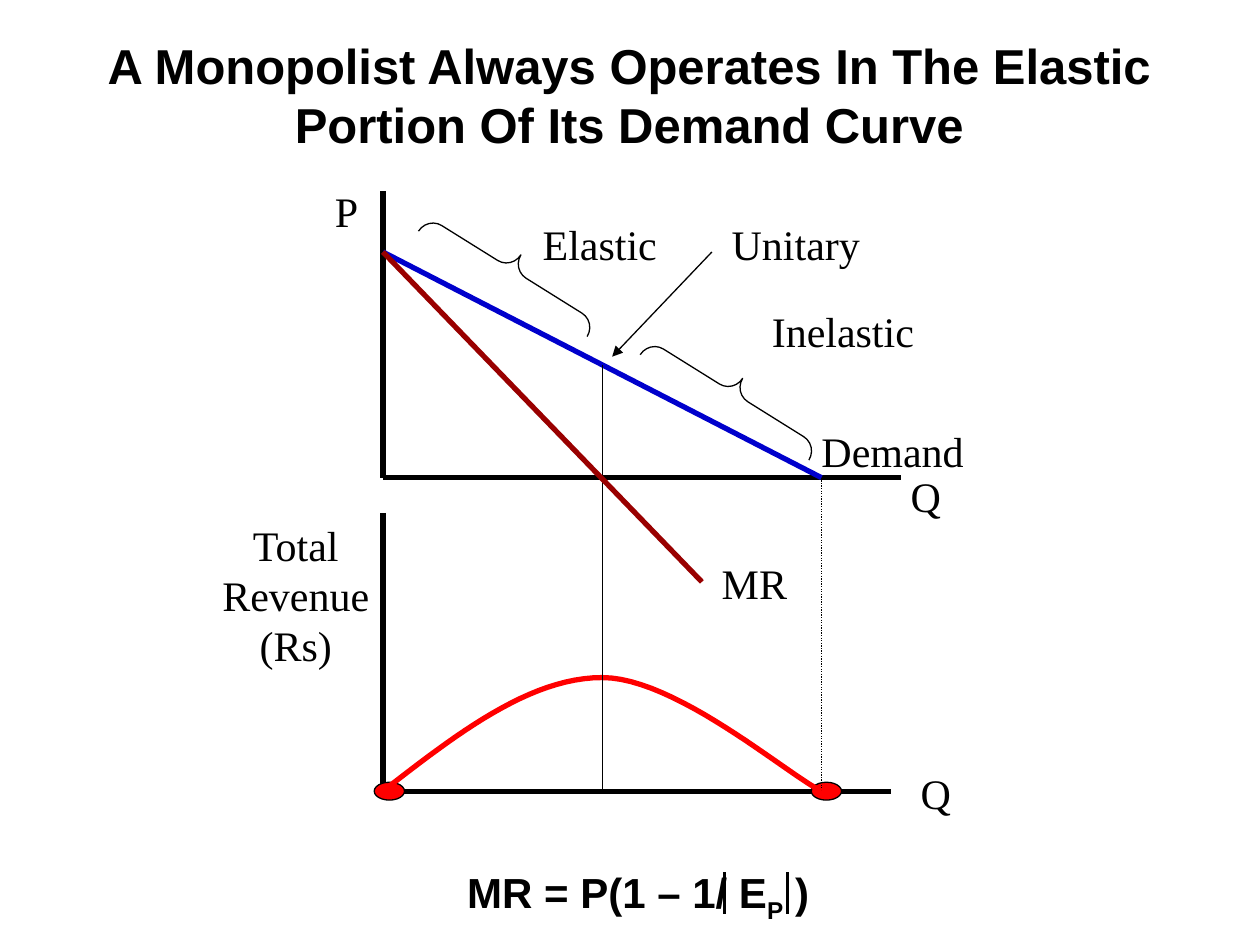
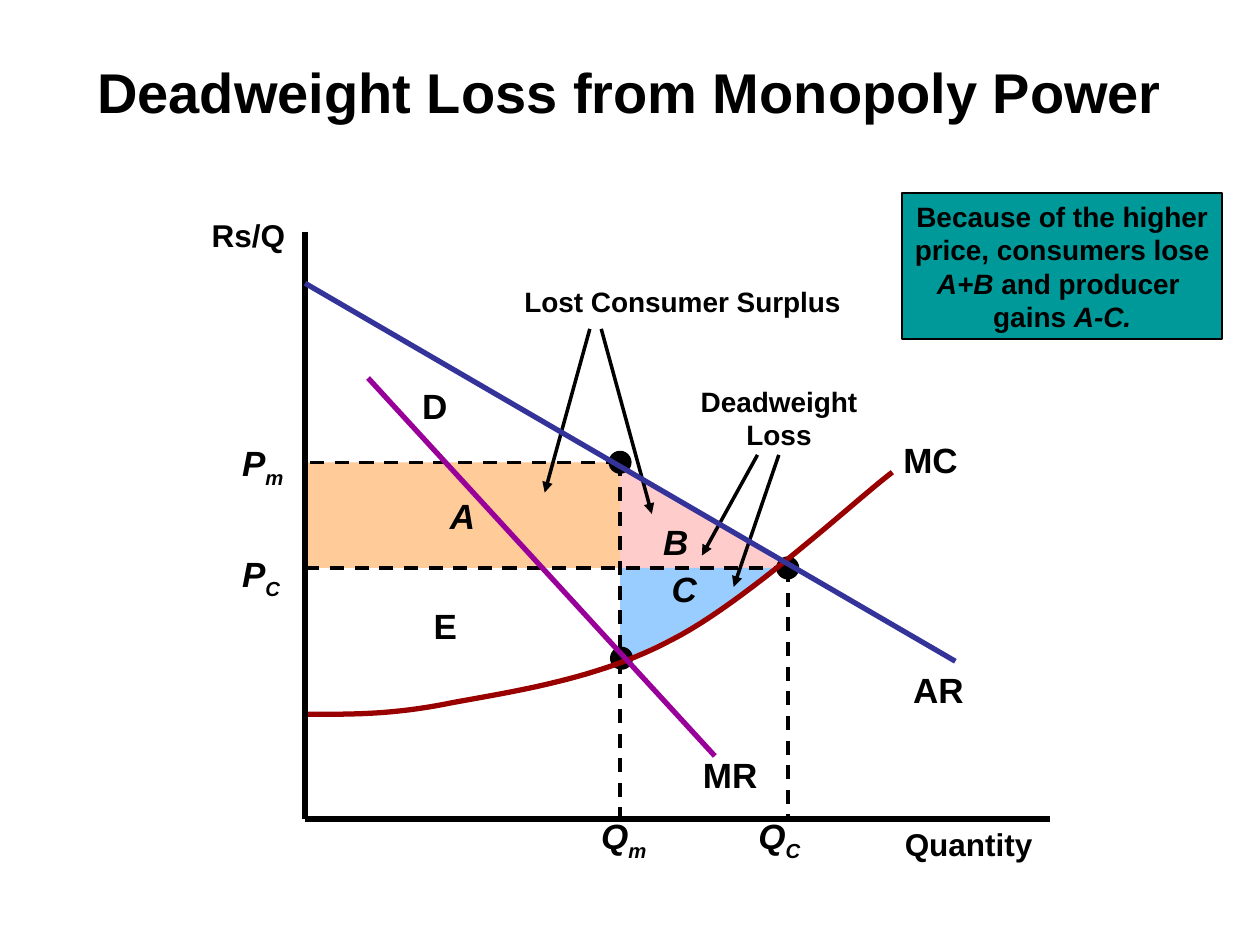
from dataclasses import dataclass
from lxml.etree import SubElement
from pptx import Presentation
from pptx.dml.color import RGBColor
from pptx.enum.dml import MSO_LINE
from pptx.enum.shapes import MSO_CONNECTOR, MSO_SHAPE
from pptx.enum.text import MSO_ANCHOR, MSO_AUTO_SIZE, PP_ALIGN
from pptx.oxml.ns import qn
from pptx.util import Cm, Pt


@dataclass(frozen=True)
class Theme:
    """Colours, fonts, type sizes and line widths of the slides."""
    ink: str = "000000"
    demand: str = "0000CC"
    marginal_cost: str = "990000"
    revenue: str = "FF0000"
    average_revenue: str = "333399"
    marginal_revenue: str = "990099"
    transfer: str = "FFCC99"
    consumer_loss: str = "FFCCCC"
    producer_loss: str = "99CCFF"
    callout: str = "009999"
    sans: str = "Arial"
    serif: str = "Times New Roman"
    large_title: int = 32
    long_title: int = 28
    large: int = 24
    name: int = 20
    axis: int = 18
    note: int = 16
    thick: float = 3
    medium: float = 2
    bar: float = 1.75
    outline: float = 1
    thin: float = 0.75


@dataclass(frozen=True)
class Box:
    """A region of a slide, in centimetres, measured from its top left."""
    left: float
    top: float
    width: float
    height: float

    def at(self, x, y):
        """Return the slide position of a point in the region."""
        return Cm(self.left + x), Cm(self.top + y)


THEME = Theme()
SERIF = {"name": THEME.serif, "size": Pt(THEME.large)}
FORMULA = {"name": THEME.sans, "size": Pt(THEME.large), "bold": True}
NOTE = {**FORMULA, "size": Pt(THEME.note)}
AXIS = {**FORMULA, "size": Pt(THEME.axis)}
NAME = {**FORMULA, "size": Pt(THEME.name)}
SYMBOL = {**NAME, "italic": True}
SUBSCRIPT = {"baseline": "-25000"}
ITALIC = {"italic": True}
LABEL_SLACK = 0.6
SLACK_BEFORE = {PP_ALIGN.LEFT: 0, PP_ALIGN.CENTER: 0.5, PP_ALIGN.RIGHT: 1}


def write(frame, lines, style, align=PP_ALIGN.LEFT):
    """Fill a text frame; each line is a string or a list of (text, changes) runs."""
    for index, line in enumerate(lines):
        paragraph = frame.paragraphs[0] if index == 0 else frame.add_paragraph()
        paragraph.alignment = align
        for text, changes in [(line, {})] if isinstance(line, str) else line:
            run = paragraph.add_run()
            run.text = text
            for key, value in {**style, **changes}.items():
                if key == "baseline":
                    run._r.get_or_add_rPr().set(key, value)
                else:
                    setattr(run.font, key, value)
            run.font.color.rgb = RGBColor.from_string(THEME.ink)


def add_title(presentation, text, size, place, anchor):
    """Add a title-only slide and format its title."""
    slide = presentation.slides.add_slide(presentation.slide_layouts[5])
    title = slide.shapes.title
    title.left, title.top, title.width, title.height = map(Cm, place)
    frame = title.text_frame
    for key, value in {"word_wrap": True, "auto_size": MSO_AUTO_SIZE.NONE,
                       "vertical_anchor": anchor}.items():
        setattr(frame, key, value)
    write(frame, [text], {**FORMULA, "size": Pt(size)}, PP_ALIGN.CENTER)
    return slide


def add_label(slide, box, place, lines, style, align=PP_ALIGN.LEFT):
    """Add a label at (x, y, width, height) in the box, with slack away from its aligned edge."""
    x, y, width, height = place
    left, top = box.at(x - LABEL_SLACK * SLACK_BEFORE[align], y)
    shape = slide.shapes.add_textbox(left, top, Cm(width + LABEL_SLACK), Cm(height))
    shape.text_frame.word_wrap = True
    shape.text_frame.auto_size = MSO_AUTO_SIZE.NONE
    write(shape.text_frame, lines, style, align)


def add_line(slide, box, start, end, width, color=THEME.ink, dash=None, arrow=False):
    """Add a straight line, optionally dashed or with an arrowhead at its end."""
    line = slide.shapes.add_connector(MSO_CONNECTOR.STRAIGHT, *box.at(*start), *box.at(*end))
    line.line.width = Pt(width)
    line.line.color.rgb = RGBColor.from_string(color)
    if dash:
        line.line.dash_style = dash
    if arrow:
        SubElement(line.line._get_or_add_ln(), qn("a:tailEnd"), type="triangle")
    SubElement(line._element.spPr, qn("a:effectLst"))


def paint(shape, fill=None, line=None, width=THEME.outline):
    """Set the fill and outline of a shape and remove its shadow."""
    shape.shadow.inherit = False
    for part, color in ((shape.fill, fill), (shape.line.fill, line)):
        if color:
            part.solid()
            part.fore_color.rgb = RGBColor.from_string(color)
        else:
            part.background()
    if line:
        shape.line.width = Pt(width)
    return shape


def add_shape(slide, box, kind, place, **colors):
    """Add a preset shape at (x, y, width, height) in the box."""
    x, y, width, height = place
    shape = slide.shapes.add_shape(kind, *box.at(x, y), Cm(width), Cm(height))
    return paint(shape, **colors)


def add_dot(slide, box, center, size, **colors):
    """Add an ellipse around a centre point."""
    (x, y), (width, height) = center, size
    add_shape(slide, box, MSO_SHAPE.OVAL, (x - width / 2, y - height / 2, width, height), **colors)


def add_outline(slide, box, points, close, **colors):
    """Add a freeform through the points."""
    builder = slide.shapes.build_freeform(*box.at(*points[0]))
    builder.add_line_segments([box.at(*point) for point in points[1:]], close=close)
    paint(builder.convert_to_shape(), **colors)


def bezier(points, steps=24):
    """Return points along joined cubic curves: a start, then three points per curve."""
    curve = [points[0]]
    for first in range(0, len(points) - 1, 3):
        controls = points[first:first + 4]
        for step in range(1, steps + 1):
            t = step / steps
            weights = ((1 - t) ** 3, 3 * t * (1 - t) ** 2, 3 * t * t * (1 - t), t ** 3)
            curve.append(tuple(sum(weight * point[axis] for weight, point in zip(weights, controls))
                               for axis in (0, 1)))
    return curve


def draw_elasticity(slide, box):
    """Draw the demand diagram above the total revenue diagram."""
    choke, price_floor, revenue_top, revenue_floor = 1.22, 5.77, 6.48, box.height
    quantity_end = 8.84
    middle = quantity_end / 2
    for top, floor, length in ((0, price_floor, 10.44), (revenue_top, revenue_floor, 10.24)):
        add_line(slide, box, (0, top), (0, floor), THEME.thick)
        add_line(slide, box, (0, floor), (length, floor), THEME.thick)
    add_line(slide, box, (0, choke), (quantity_end, price_floor), THEME.thick, THEME.demand)
    for x in (0.13, quantity_end + 0.1):
        add_dot(slide, box, (x, revenue_floor), (0.61, 0.36),
                fill=THEME.revenue, line=THEME.ink, width=THEME.thin)
    add_line(slide, box, (quantity_end, price_floor), (quantity_end, revenue_floor),
             THEME.thin, dash=MSO_LINE.ROUND_DOT)
    peak = 9.8
    hill = [(0, revenue_floor), (1.47, 10.95), (2.95, peak), (middle, peak),
            (5.89, peak), (8.1, 11.71), (quantity_end, revenue_floor)]
    add_outline(slide, box, bezier(hill), False, line=THEME.revenue, width=THEME.thick)
    add_line(slide, box, (middle, revenue_floor), (middle, (choke + price_floor) / 2), THEME.thin)
    for x, y in ((2.6, 1.57), (7.07, 4.06)):
        width, height = 0.69, 4.01
        brace = add_shape(slide, box, MSO_SHAPE.RIGHT_BRACE,
                          (x - width / 2, y - height / 2, width, height),
                          line=THEME.ink, width=THEME.thin)
        brace.rotation = 302
        brace.adjustments[0] = 0.49
    add_line(slide, box, (6.63, choke), (4.62, 3.33), THEME.thin, arrow=True)
    add_line(slide, box, (0, choke), (6.43, 7.87), THEME.thick, THEME.marginal_cost)
    for text, x, y, width in (
            ("P", -1.22, -0.25, 0.97), ("Q", 10.39, 5.51, 1.12), ("Q", 10.59, 11.48, 1.12),
            ("Demand", 8.59, 4.6, 3.38), ("Elastic", 2.97, 0.43, 2.79),
            ("Inelastic", 7.59, 2.18, 3.38), ("Unitary", 6.78, 0.43, 3.1),
            ("MR", 6.58, 7.26, 1.83)):
        add_label(slide, box, (x, y, width, 1.27), [text], SERIF)
    add_label(slide, box, (-3.48, revenue_top, 3.45, 3.3),
              ["Total", "Revenue", "(Rs)"], SERIF, PP_ALIGN.CENTER)


def draw_formula(slide, box):
    """Write the marginal revenue formula with its absolute value bars."""
    runs = [("MR = P(1 – 1/ E", {}), ("P", SUBSCRIPT), (" )", {})]
    add_label(slide, box, (0, 0, box.width, box.height), [runs], FORMULA)
    for x in (5.44, 6.71):
        add_line(slide, box, (x, 0.23), (x, 1.07), THEME.bar)


def draw_areas(slide, box, quantities, prices):
    """Shade areas A, B and C between the monopoly and competitive outcomes."""
    (monopoly, competitive), (high, low) = quantities, prices
    areas = (
        ("B", MSO_SHAPE.RIGHT_TRIANGLE, monopoly, competitive - monopoly, THEME.consumer_loss),
        ("A", MSO_SHAPE.RECTANGLE, 0, monopoly, THEME.transfer))
    for text, kind, x, width, color in areas:
        shape = add_shape(slide, box, kind, (x, high, width, low - high), fill=color)
        shape.text_frame.word_wrap = False
        shape.text_frame.vertical_anchor = MSO_ANCHOR.MIDDLE
        write(shape.text_frame, [text], SYMBOL, PP_ALIGN.CENTER)
    corners = [(monopoly, low), (9.53, low), (8.66, 7.42), (7.62, 8.05), (monopoly, 8.69)]
    add_outline(slide, box, corners, True, fill=THEME.producer_loss)
    add_label(slide, box, (7.14, 6.65, 1.02, 1.09), ["C"], SYMBOL)


def draw_deadweight_loss(slide, box):
    """Draw the monopoly diagram with its areas, curves and labels."""
    quantities, prices = (6.35, 9.73), (4.65, 6.78)
    floor = box.height
    draw_areas(slide, box, quantities, prices)
    for start, end in (((5.74, 1.96), (4.83, 5.26)), ((5.97, 1.96), (6.99, 5.69)),
                       ((9.12, 4.5), (8, 6.53)), ((9.55, 4.5), (8.64, 7.16))):
        add_line(slide, box, start, end, THEME.medium, arrow=True)
    for x, y in zip(quantities, prices):
        add_line(slide, box, (x, y), (x, floor), THEME.medium, dash=MSO_LINE.DASH)
        add_line(slide, box, (x, y), (0, y), THEME.medium, dash=MSO_LINE.DASH)
    for point in (*zip(quantities, prices), (6.38, 8.6)):
        add_dot(slide, box, point, (0.43, 0.43), fill=THEME.ink, line=THEME.ink)
    cost = [(0, 9.73), (0.86, 9.73), (1.73, 9.75), (2.95, 9.5), (4.19, 9.27), (5.92, 9.02),
            (7.39, 8.23), (8.89, 7.47), (11.1, 5.41), (11.84, 4.85)]
    add_outline(slide, box, bezier(cost), False, line=THEME.marginal_cost, width=THEME.thick)
    for start, end, color in (
            ((0, 0), (0, floor), THEME.ink),
            ((0, 1.04), (13.11, 8.66), THEME.average_revenue),
            ((1.27, 2.95), (8.26, 10.57), THEME.marginal_revenue),
            ((0, floor), (box.width, floor), THEME.ink)):
        add_line(slide, box, start, end, THEME.thick, color)
    for text, x, y, width in (("MC", 11.81, 4.04, 1.6), ("MR", 7.77, 10.39, 1.6),
                              ("AR", 12.01, 8.69, 1.52), ("E", 2.34, 7.39, 0.97),
                              ("D", 2.11, 2.95, 1.02)):
        add_label(slide, box, (x, y, width, 1.12), [text], NAME)
    for letter, index, x, y, width in (("Q", "C", 8.89, 11.63, 1.35), ("P", "C", -1.52, 6.35, 1.27),
                                       ("P", "m", -1.52, 4.11, 1.35), ("Q", "m", 5.72, 11.63, 1.42)):
        add_label(slide, box, (x, y, width, 1.22), [[(letter, {}), (index, SUBSCRIPT)]], SYMBOL)
    add_label(slide, box, (11.84, floor, 3.07, 1.02), ["Quantity"], AXIS)
    add_label(slide, box, (-2.13, -0.43, 1.98, 1.02), ["Rs/Q"], AXIS, PP_ALIGN.RIGHT)
    add_label(slide, box, (4.17, 0.94, 6.88, 0.91), ["Lost Consumer Surplus"], NOTE)
    add_label(slide, box, (7.65, 2.95, 3.81, 1.6), ["Deadweight", "Loss"], NOTE, PP_ALIGN.CENTER)


def draw_callout(slide, box):
    """Write the conclusion in a filled rectangle."""
    shape = add_shape(slide, box, MSO_SHAPE.RECTANGLE, (0, 0, box.width, box.height),
                      fill=THEME.callout, line=THEME.ink)
    shape.text_frame.word_wrap = False
    shape.text_frame.vertical_anchor = MSO_ANCHOR.TOP
    lines = ["Because of the higher", "price, consumers lose",
             [("A+B", ITALIC), (" and producer ", {})], [("gains ", {}), ("A-C.", ITALIC)]]
    write(shape.text_frame, lines, NOTE, PP_ALIGN.CENTER)


def main():
    """Build and save the two slides."""
    presentation = Presentation()
    presentation.slide_width, presentation.slide_height = Cm(25.4), Cm(19.05)
    slide = add_title(presentation,
                      "A Monopolist Always Operates In The Elastic Portion Of Its Demand Curve",
                      THEME.long_title, (1.47, 0.64, 22.43, 2.54), MSO_ANCHOR.MIDDLE)
    draw_elasticity(slide, Box(7.72, 3.86, 10.44, 12.09))
    draw_formula(slide, Box(9.17, 17.35, 7.44, 1.42))
    slide = add_title(presentation, "Deadweight Loss from Monopoly Power",
                      THEME.large_title, (1.27, 1.07, 22.86, 1.57), MSO_ANCHOR.BOTTOM)
    draw_deadweight_loss(slide, Box(6.15, 4.67, 15.01, 11.84))
    draw_callout(slide, Box(18.19, 3.89, 6.45, 2.95))
    presentation.save("out.pptx")


if __name__ == "__main__":
    main()
